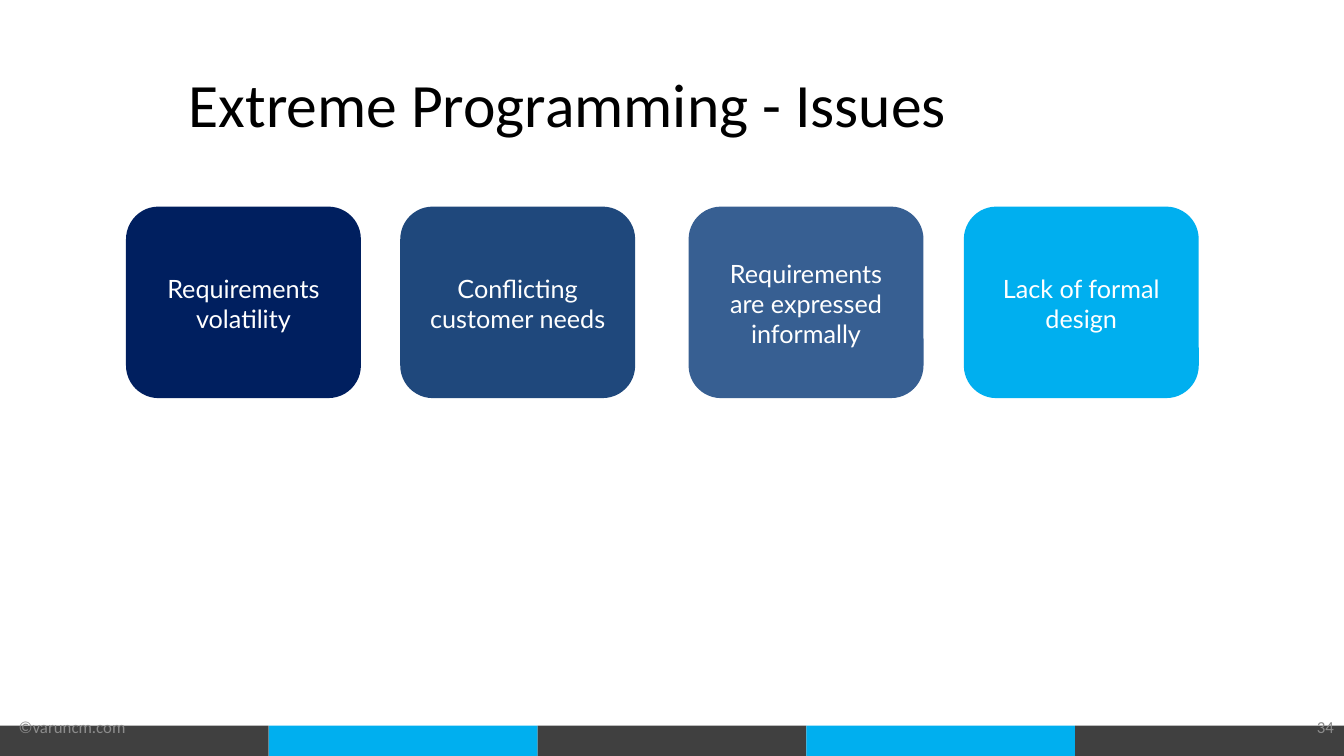
from pptx import Presentation
from pptx.dml.color import RGBColor
from pptx.enum.shapes import MSO_SHAPE
from pptx.enum.text import MSO_ANCHOR, MSO_AUTO_SIZE, PP_ALIGN
from pptx.util import Inches, Pt

BLACK = RGBColor(0x00, 0x00, 0x00)
WHITE = RGBColor(0xFF, 0xFF, 0xFF)
GREY = RGBColor(0x8C, 0x8C, 0x8C)
CHARCOAL = RGBColor(0x40, 0x40, 0x40)
NAVY = RGBColor(0x00, 0x1F, 0x5F)
DEEP_BLUE = RGBColor(0x1F, 0x48, 0x7C)
STEEL_BLUE = RGBColor(0x37, 0x5F, 0x92)
SKY_BLUE = RGBColor(0x00, 0xAF, 0xEF)

SLIDE_WIDTH, SLIDE_HEIGHT = 13.33, 7.5
BAR_COUNT, BAR_HEIGHT = 5, 0.3
CARD_TOP, CARD_WIDTH, CARD_HEIGHT = 2.05, 2.33, 1.9
CARD_ROUNDING = 0.17

# Left edge, fill and text of each issue; \v is a line break
ISSUES = [
    (1.25, NAVY, "Requirements\vvolatility"),
    (3.97, DEEP_BLUE, "Conflicting\vcustomer needs"),
    (6.83, STEEL_BLUE, "Requirements\vare expressed\vinformally"),
    (9.56, SKY_BLUE, "Lack of formal\vdesign"),
]


def write_text(shape, text, *, size, color, font="Calibri",
               align=PP_ALIGN.LEFT, wrap=True):
    """Fill a shape with one paragraph, centred vertically."""
    frame = shape.text_frame
    frame.word_wrap = wrap
    frame.auto_size = MSO_AUTO_SIZE.NONE
    frame.vertical_anchor = MSO_ANCHOR.MIDDLE
    frame.margin_left = frame.margin_right = frame.margin_bottom = 0
    frame.margin_top = Inches(0.02)
    para = frame.paragraphs[0]
    para.text = text
    para.alignment = align
    for span in para.runs:
        span.font.name = font
        span.font.size = Pt(size)
        span.font.color.rgb = color


class IssuesPage:
    """Holds the slide and its fonts, and adds each kind of element."""

    heading_font = "Calibri"
    card_font = "Lato"

    def __init__(self, deck):
        self.page = deck.slides.add_slide(deck.slide_layouts[5])

    def title(self, text, left, top, width, height):
        box = self.page.shapes.title
        box.left, box.top = Inches(left), Inches(top)
        box.width, box.height = Inches(width), Inches(height)
        write_text(box, text, size=44, color=BLACK, font=self.heading_font)

    def block(self, kind, left, top, width, height, fill):
        shape = self.page.shapes.add_shape(
            kind, Inches(left), Inches(top), Inches(width), Inches(height))
        shape.shadow.inherit = False
        shape.fill.solid()
        shape.fill.fore_color.rgb = fill
        shape.line.fill.background()
        return shape

    def card(self, left, fill, text):
        card = self.block(MSO_SHAPE.ROUNDED_RECTANGLE, left, CARD_TOP,
                          CARD_WIDTH, CARD_HEIGHT, fill)
        card.adjustments[0] = CARD_ROUNDING
        write_text(card, text, size=18, color=WHITE, font=self.card_font,
                   align=PP_ALIGN.CENTER)

    def footer(self, text, left, width, align):
        box = self.page.shapes.add_textbox(
            Inches(left), Inches(6.89), Inches(width), Inches(0.62))
        write_text(box, text, size=12, color=GREY, font=self.heading_font,
                   align=align, wrap=False)


def main():
    deck = Presentation()
    deck.slide_width = Inches(SLIDE_WIDTH)
    deck.slide_height = Inches(SLIDE_HEIGHT)
    issues_page = IssuesPage(deck)

    # Title
    issues_page.title("Extreme Programming - Issues", 1.87, 0.63, 9.41, 0.76)

    # Alternating bars along the bottom edge
    bar_width = SLIDE_WIDTH / BAR_COUNT
    for index in range(BAR_COUNT):
        fill = SKY_BLUE if index % 2 else CHARCOAL
        issues_page.block(MSO_SHAPE.RECTANGLE, index * bar_width,
                          SLIDE_HEIGHT - BAR_HEIGHT, bar_width, BAR_HEIGHT,
                          fill)

    # Issue cards
    for left, fill, text in ISSUES:
        issues_page.card(left, fill, text)

    # Footer
    issues_page.footer("©varuncm.com", 0.12, 1.19, PP_ALIGN.CENTER)
    issues_page.footer("34", 12.94, 0.29, PP_ALIGN.RIGHT)

    deck.save("out.pptx")


if __name__ == "__main__":
    main()
